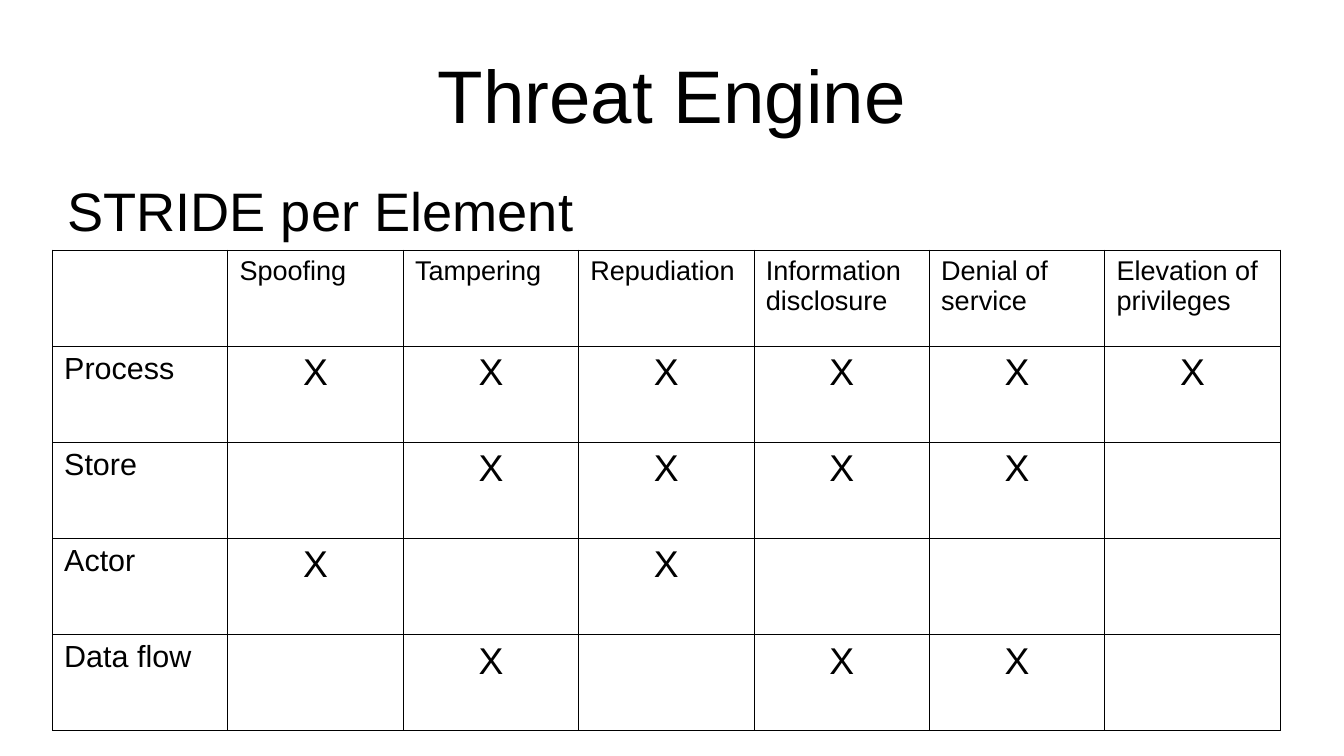
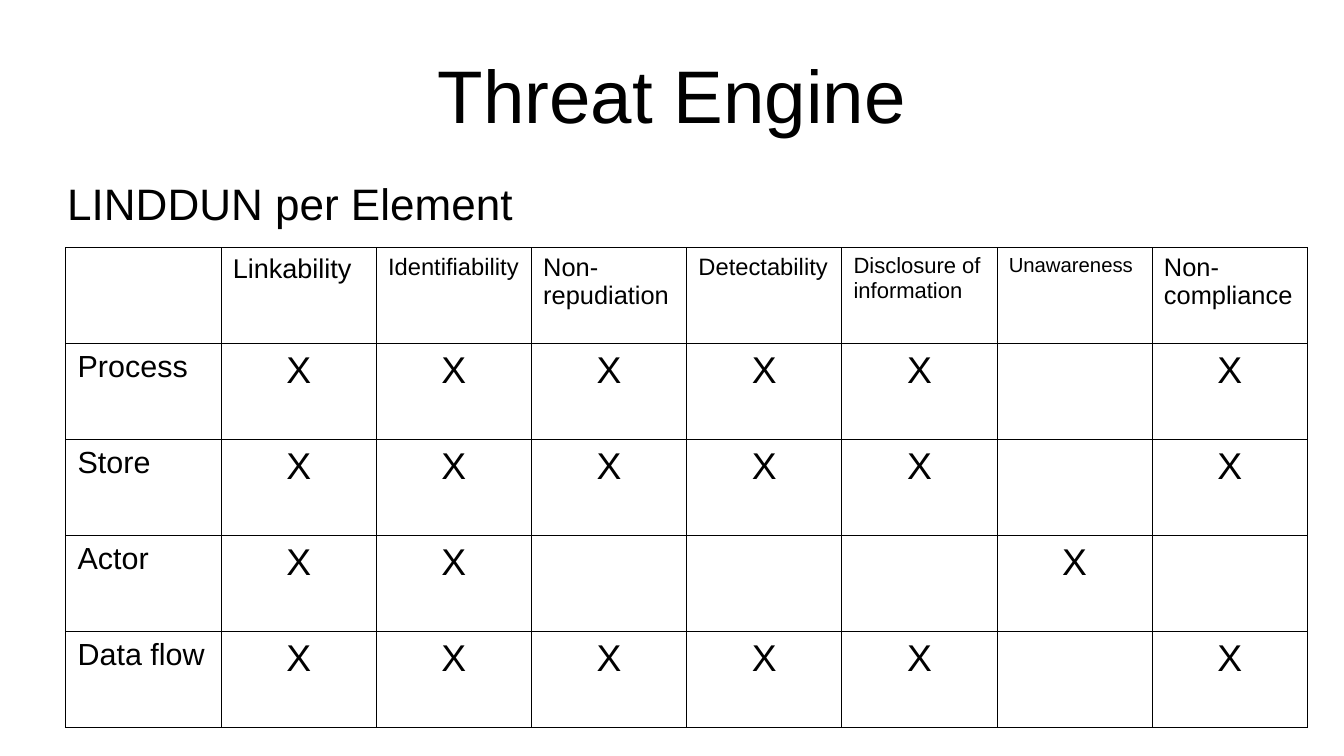
import pptx
import pptx.util
import pptx.dml.color
import pptx.enum.text
import pptx.oxml
from pptx.oxml.ns import nsdecls

Inches, Pt = pptx.util.Inches, pptx.util.Pt
CENTER = pptx.enum.text.PP_ALIGN.CENTER
LEFT = pptx.enum.text.PP_ALIGN.LEFT
BLACK = pptx.dml.color.RGBColor(0x00, 0x00, 0x00)
FONT = "Arial"
BORDER = Pt(0.57)
CELL_INSET = Pt(7)
ELEMENTS = ["Process", "Store", "Actor", "Data flow"]

# Each matrix: heading, its size, body height, table left, top and width,
# threats with header sizes, and one string of marks per element
MATRICES = [
    ("STRIDE per Element", 32, 4.54, 0.43, 2.05, 10.07,
     [("Spoofing", 16), ("Tampering", 16), ("Repudiation", 16),
      ("Information disclosure", 16), ("Denial of service", 16),
      ("Elevation of privileges", 16)],
     ["XXXXXX", "-XXXX-", "X-X---", "-X-XX-"]),
    ("LINDDUN per Element", 26, 3.6, 0.54, 2.03, 10.18,
     [("Linkability", 16), ("Identifiability", 14), ("Non-repudiation", 15),
      ("Detectability", 14), ("Disclosure of information", 13),
      ("Unawareness", 12), ("Non-compliance", 15)],
     ["XXXXX-X", "XXXXX-X", "XX---X-", "XXXXX-X"]),
]


def write(frame, text, size, align=LEFT):
    """Put one line of black text in a text frame."""
    paragraph = frame.paragraphs[0]
    paragraph.text = text
    paragraph.alignment = align
    paragraph.font.size = Pt(size)
    paragraph.font.name = FONT
    paragraph.font.color.rgb = BLACK
    return paragraph


def outline(cell):
    """Draw a thin black border on all four sides of a cell."""
    properties = cell._tc.get_or_add_tcPr()
    for place, side in enumerate(("lnL", "lnR", "lnT", "lnB")):
        properties.insert(place, pptx.oxml.parse_xml(
            f'<a:{side} {nsdecls("a")} w="{BORDER}"><a:solidFill>'
            f'<a:srgbClr val="{BLACK}"/></a:solidFill></a:{side}>'))


deck = pptx.Presentation()
deck.slide_width, deck.slide_height = Inches(11.02), Inches(6.2)
margin = int(deck.slide_width * 0.05)
content_width = deck.slide_width - 2 * margin

# Shared frame: title and body places on the layout
layout = deck.slide_layouts[1]
for holder, top, height in zip(layout.placeholders, (0.25, 1.45), (1.04, 4.54)):
    holder.left, holder.width = margin, content_width
    holder.top, holder.height = Inches(top), Inches(height)

for (heading, heading_size, body_height, left, top, width,
     threats, marks) in MATRICES:
    slide = deck.slides.add_slide(layout)
    title, body = slide.placeholders

    # Title and heading
    for holder in (title, body):
        frame = holder.text_frame
        frame.margin_left = frame.margin_right = 0
        frame.margin_top = frame.margin_bottom = 0
        frame.auto_size = pptx.enum.text.MSO_AUTO_SIZE.NONE
    title.text_frame.vertical_anchor = pptx.enum.text.MSO_ANCHOR.MIDDLE
    write(title.text_frame, "Threat Engine", 44, CENTER)

    body.left, body.top = margin, Inches(1.45)
    body.width, body.height = content_width, Inches(body_height)
    heading_line = write(body.text_frame, heading, heading_size)
    heading_line.space_before = Pt(14.2)
    heading_properties = heading_line._p.get_or_add_pPr()
    heading_properties.set("marL", "0")
    heading_properties.set("indent", "0")
    heading_properties.append(
        pptx.oxml.parse_xml(f'<a:buNone {nsdecls("a")}/>'))

    # Threat matrix
    matrix = slide.shapes.add_table(
        len(ELEMENTS) + 1, len(threats) + 1,
        Inches(left), Inches(top), Inches(width), Inches(3.94)).table
    matrix.first_row = matrix.horz_banding = False
    for cell in matrix.iter_cells():
        cell.margin_left = cell.margin_right = CELL_INSET
        cell.fill.background()
        outline(cell)
    for column, (threat, size) in enumerate(threats, 1):
        write(matrix.cell(0, column).text_frame, threat, size)
    for row, (element, element_marks) in enumerate(zip(ELEMENTS, marks), 1):
        write(matrix.cell(row, 0).text_frame, element, 18)
        for column, mark in enumerate(element_marks, 1):
            if mark == "X":
                write(matrix.cell(row, column).text_frame, mark, 22, CENTER)

deck.save("out.pptx")
